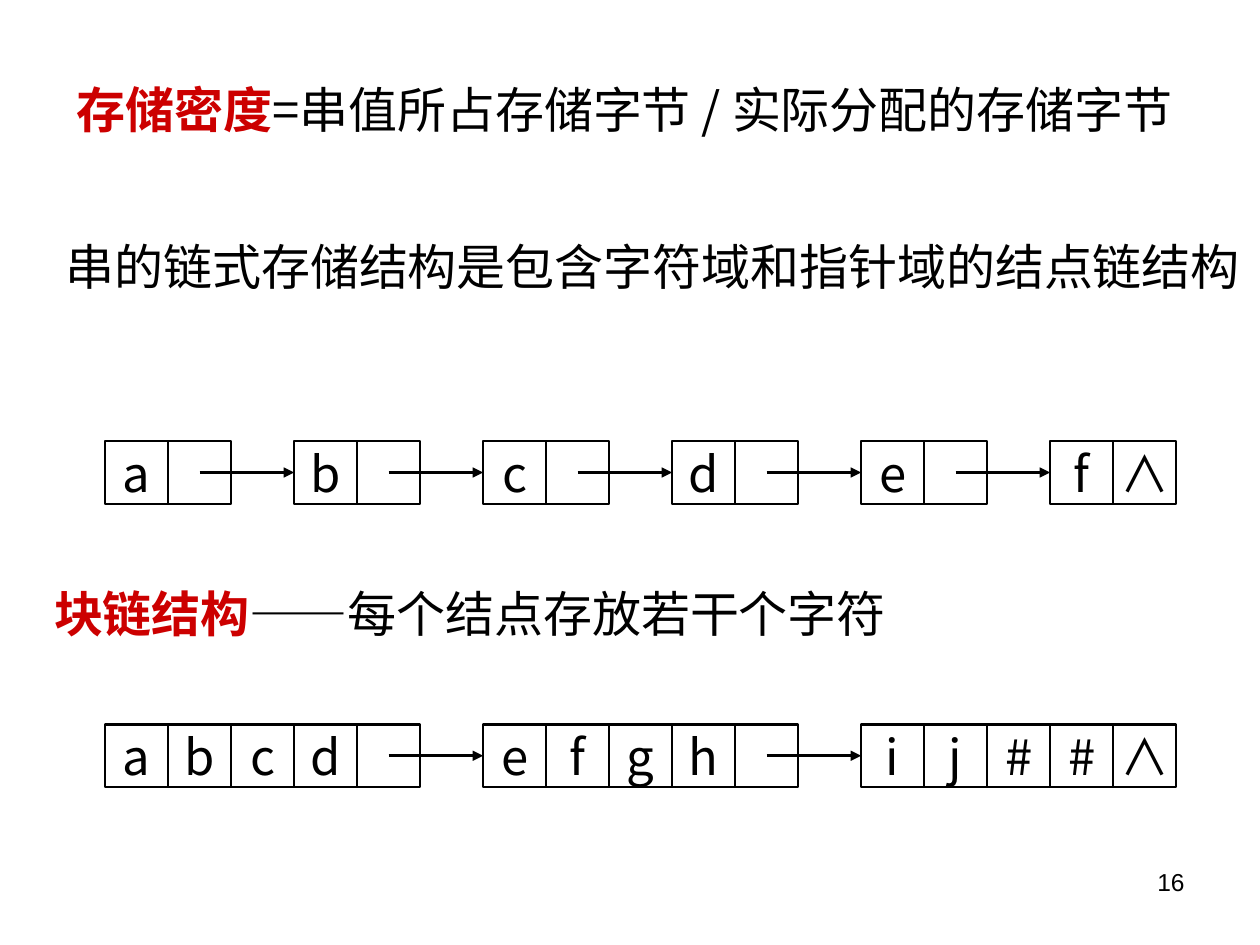
from lxml import etree
from pptx import Presentation
from pptx.dml.color import RGBColor
from pptx.enum.shapes import MSO_CONNECTOR, MSO_SHAPE
from pptx.enum.text import MSO_ANCHOR, PP_ALIGN
from pptx.oxml.ns import qn
from pptx.util import Cm, Pt

LEFT, MID, RIGHT = PP_ALIGN.LEFT, PP_ALIGN.CENTER, PP_ALIGN.RIGHT
CENTRE = MSO_ANCHOR.MIDDLE
RECT = MSO_SHAPE.RECTANGLE
LINE = MSO_CONNECTOR.STRAIGHT

BLACK = RGBColor(0x00, 0x00, 0x00)
RED = RGBColor(0xCC, 0x00, 0x00)

CELL = 1.27   # side of one square cell, cm
START = 2.12  # left edge of both chains, cm


class Deck:
    font = "Noto Sans CJK SC"
    size = 28
    width = Pt(1.5)

    def __init__(self, slide):
        self.slide = slide

    def style(self, run, color=BLACK, bold=False, size=None, font=None):
        face = font or self.font
        run.font.size = Pt(size or self.size)
        run.font.bold = bold
        run.font.color.rgb = color
        run.font.name = face
        east = etree.SubElement(run.font._element, qn("a:ea"))
        east.set("typeface", face)

    def text(self, x, y, w, h, body, lead="", align=LEFT, **look):
        """Text box with an optional bold red lead term."""
        box = self.slide.shapes.add_textbox(Cm(x), Cm(y), Cm(w), Cm(h))
        box.text_frame.word_wrap = True
        para = box.text_frame.paragraphs[0]
        para.alignment = align
        if lead:
            term = para.add_run()
            term.text = lead
            self.style(term, RED, True)
        run = para.add_run()
        run.text = body
        self.style(run, **look)

    def cell(self, group, x, y, sign):
        box = group.shapes.add_shape(RECT, Cm(x), Cm(y), Cm(CELL), Cm(CELL))
        box.shadow.inherit = False
        box.fill.background()
        box.line.color.rgb = BLACK
        box.line.width = self.width
        frame = box.text_frame
        frame.word_wrap = False
        frame.vertical_anchor = CENTRE
        if sign:
            frame.text = sign
            para = frame.paragraphs[0]
            para.alignment = MID
            self.style(para.runs[0])
        return box

    def arrow(self, group, start, goal):
        """Arrow from the centre of one cell to the left side of another."""
        x = start.left + start.width // 2
        y = start.top + start.height // 2
        link = group.shapes.add_connector(LINE, x, y, goal.left, y)
        link.end_connect(goal, 1)
        link.line.color.rgb = BLACK
        link.line.width = self.width
        etree.SubElement(link.line._get_or_add_ln(), qn("a:tailEnd"),
                         type="triangle")
        etree.SubElement(link._element.spPr, qn("a:effectLst"))

    def chain(self, y, nodes):
        """Linked nodes one cell apart; a blank last cell holds a pointer."""
        group = self.slide.shapes.add_group_shape()
        x, last = START, None
        for node in nodes:
            cells = [self.cell(group, x + i * CELL, y, sign.strip())
                     for i, sign in enumerate(node)]
            if last is not None:
                self.arrow(group, last, cells[0])
            last = cells[-1]
            x += (len(node) + 1) * CELL


def main():
    prs = Presentation()
    prs.slide_width, prs.slide_height = Cm(25.4), Cm(19.05)
    deck = Deck(prs.slides.add_slide(prs.slide_layouts[6]))

    # Definitions
    deck.text(0.84, 1.47, 23.5, 2.64, "=串值所占存储字节 / 实际分配的存储字节",
              lead="存储密度", align=MID)
    deck.text(1.07, 4.65, 24.33, 1.45,
              "串的链式存储结构是包含字符域和指针域的结点链结构")
    deck.text(0.84, 11.63, 23.5, 1.45, "——每个结点存放若干个字符",
              lead="块链结构")

    # One character per node
    deck.chain(8.89, ["a ", "b ", "c ", "d ", "e ", "f∧"])

    # Four characters per node
    deck.chain(14.6, ["abcd ", "efgh ", "ij##∧"])

    # Page number
    deck.text(18.2, 17.36, 5.93, 1.32, "16", align=RIGHT, size=14,
              font="Arial")

    prs.save("out.pptx")


if __name__ == "__main__":
    main()
